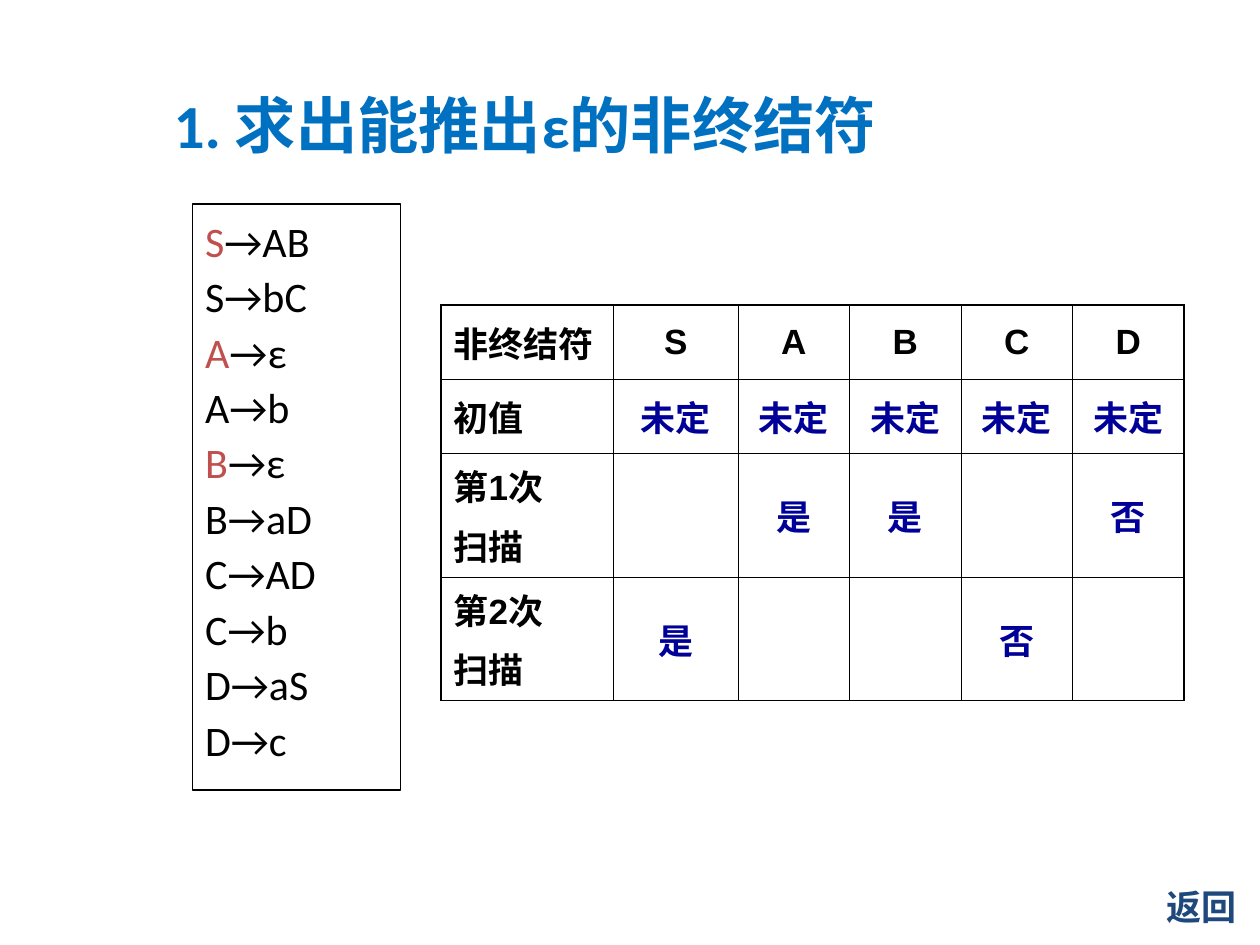
from lxml import etree
from pptx import Presentation
from pptx import util as u
from pptx.dml.color import RGBColor
from pptx.enum import shapes, text
from pptx.oxml import ns

BLACK = RGBColor(0x00, 0x00, 0x00)
TITLE_BLUE = RGBColor(0x00, 0x70, 0xC0)
RED = RGBColor(0xC0, 0x50, 0x4D)
VALUE_BLUE = RGBColor(0x00, 0x00, 0x99)
RETURN_BLUE = RGBColor(0x1F, 0x49, 0x7D)
CJK = "Noto Sans CJK SC"


def style(run, size, color, font, bold):
    run.font.size = u.Pt(size)
    run.font.color.rgb = color
    run.font.name = font
    run.font.bold = bold
    etree.SubElement(run._r.get_or_add_rPr(), ns.qn("a:ea")).set("typeface", CJK)


def add_border(cell, side, width):
    line = etree.SubElement(cell._tc.get_or_add_tcPr(), ns.qn(f"a:ln{side}"))
    line.set("w", str(u.Pt(width)))
    fill = etree.SubElement(line, ns.qn("a:solidFill"))
    etree.SubElement(fill, ns.qn("a:srgbClr")).set("val", str(BLACK))


prs = Presentation()
prs.slide_width = u.Inches(10)
prs.slide_height = u.Inches(7.5)
slide = prs.slides.add_slide(prs.slide_layouts[6])

heading = slide.shapes.add_textbox(u.Inches(1.28), u.Inches(0.5), u.Inches(7.34), u.Inches(0.97))
heading.text_frame.word_wrap = True
heading.text_frame.vertical_anchor = text.MSO_ANCHOR.MIDDLE
heading.text_frame.text = "1. 求出能推出ε的非终结符"
style(heading.text_frame.paragraphs[0].runs[0], 35, TITLE_BLUE, "Calibri", True)

grammar = slide.shapes.add_shape(
    shapes.MSO_SHAPE.RECTANGLE, u.Inches(1.53), u.Inches(1.62), u.Inches(1.65), u.Inches(4.65))
grammar.shadow.inherit = False
grammar.fill.background()
grammar.line.color.rgb = BLACK
grammar.line.width = u.Pt(0.75)
grammar.text_frame.word_wrap = True
grammar.text_frame.vertical_anchor = text.MSO_ANCHOR.TOP
productions = grammar.text_frame.paragraphs[0]
productions.alignment = text.PP_ALIGN.LEFT
productions.line_spacing = 1.1
productions.space_before = u.Pt(9)
rules = ["S→AB", "S→bC", "A→ε", "A→b", "B→ε", "B→aD", "C→AD", "C→b", "D→aS", "D→c"]
highlighted = {"S→AB", "A→ε", "B→ε"}
for index, rule in enumerate(rules):
    if index:
        productions.add_line_break()
    left_color = RED if rule in highlighted else BLACK
    for part, color in ((rule[0], left_color), (rule[1:], BLACK)):
        symbol = productions.add_run()
        symbol.text = part
        style(symbol, 24, color, "Calibri", False)

scans = [
    ["非终结符", "S", "A", "B", "C", "D"],
    ["初值"] + ["未定"] * 5,
    ["第1次\n扫描", "", "是", "是", "", "否"],
    ["第2次\n扫描", "是", "", "", "否", ""],
]
widths = [1.37, 0.99, 0.88, 0.89, 0.88, 0.89]
heights = [0.59, 0.59, 0.98, 0.98]
scan_table = slide.shapes.add_table(
    len(heights), len(widths), u.Inches(3.5), u.Inches(2.42),
    u.Inches(sum(widths)), u.Inches(sum(heights))).table
scan_table.first_row = False
scan_table.horz_banding = False
for column, width in zip(scan_table.columns, widths):
    column.width = u.Inches(width)
for row, height in zip(scan_table.rows, heights):
    row.height = u.Inches(height)

for r, values in enumerate(scans):
    for c, value in enumerate(values):
        cell = scan_table.cell(r, c)
        cell.vertical_anchor = text.MSO_ANCHOR.MIDDLE
        outer = {"L": c == 0, "R": c == len(widths) - 1, "T": r == 0, "B": r == len(heights) - 1}
        for side, is_outer in outer.items():
            add_border(cell, side, 1.08 if is_outer else 0.45)
        cell.fill.background()
        cell.text_frame.text = value
        for paragraph in cell.text_frame.paragraphs:
            paragraph.space_before = u.Pt(5)
            paragraph.alignment = text.PP_ALIGN.CENTER if c else text.PP_ALIGN.LEFT
            for run in paragraph.runs:
                style(run, 20, VALUE_BLUE if r and c else BLACK, "Arial", True)

back = slide.shapes.add_textbox(u.Inches(9.16), u.Inches(6.98), u.Inches(0.75), u.Inches(0.44))
back.text_frame.word_wrap = True
back.text_frame.auto_size = text.MSO_AUTO_SIZE.NONE
back.text_frame.margin_right = 0
back.text_frame.text = "返回"
style(back.text_frame.paragraphs[0].runs[0], 20, RETURN_BLUE, CJK, True)

prs.save("out.pptx")
